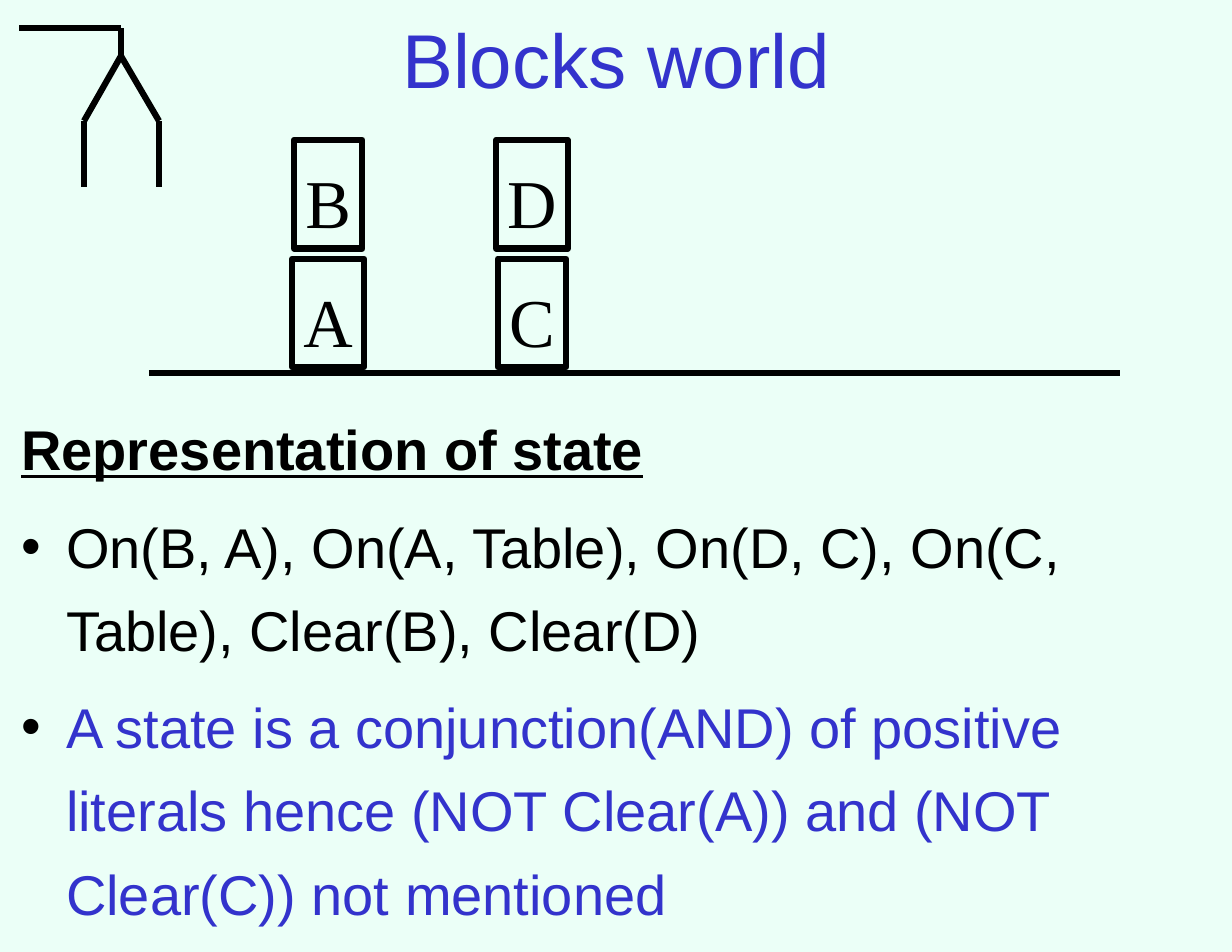
from lxml import etree
from pptx import Presentation
from pptx.dml.color import RGBColor
from pptx.enum.shapes import MSO_CONNECTOR, MSO_SHAPE
from pptx.enum.text import MSO_ANCHOR, MSO_AUTO_SIZE, PP_ALIGN
from pptx.oxml.ns import qn
from pptx.util import Inches, Pt

STRAIGHT = MSO_CONNECTOR.STRAIGHT
RECTANGLE = MSO_SHAPE.RECTANGLE
TOP, MIDDLE = MSO_ANCHOR.TOP, MSO_ANCHOR.MIDDLE
CENTER, LEFT = PP_ALIGN.CENTER, PP_ALIGN.LEFT
NO_AUTOFIT, GROW = MSO_AUTO_SIZE.NONE, MSO_AUTO_SIZE.SHAPE_TO_FIT_TEXT

BACKGROUND, BLACK, BLUE = "EBFFF7", "000000", "3333CC"
LINE_WIDTH = 4

TABLE_LINE = ((1.33, 3.33), (10, 3.33))
GRIPPER_LEFT, GRIPPER_RIGHT, GRIPPER_CENTER = 0.75, 1.42, 1.08
ARM_Y, JOINT_Y, ELBOW_Y, TIP_Y = 0.25, 0.5, 1.08, 1.67

BLOCK_HEIGHT = 0.97
UPPER_ROW, LOWER_ROW = 1.25, 2.31
BLOCKS = [  # label, stack centre, top, width
    ("A", 2.93, LOWER_ROW, 0.64),
    ("B", 2.93, UPPER_ROW, 0.61),
    ("C", 4.75, LOWER_ROW, 0.61),
    ("D", 4.75, UPPER_ROW, 0.64),
]

HEADING = "Representation of state"
BULLETS = [
    ("On(B, A), On(A, Table), On(D, C), On(C, Table), Clear(B), Clear(D)", BLACK),
    ("A state is a conjunction(AND) of positive literals hence "
     "(NOT Clear(A)) and (NOT Clear(C)) not mentioned", BLUE),
]


def color(hex_string):
    return RGBColor.from_string(hex_string)


def format_frame(text_frame, anchor, auto_size, wrap, side, end):
    text_frame.vertical_anchor = anchor
    text_frame.auto_size = auto_size
    text_frame.word_wrap = wrap
    text_frame.margin_left = text_frame.margin_right = Inches(side)
    text_frame.margin_top = text_frame.margin_bottom = Inches(end)


def write(paragraph, text, font_name, size, text_color, spacing, alignment=LEFT):
    paragraph.text = text
    paragraph.alignment = alignment
    paragraph.line_spacing = spacing
    font = paragraph.runs[0].font
    font.name = font_name
    font.size = Pt(size)
    font.color.rgb = color(text_color)
    return font


def add_bullet(paragraph, indent):
    properties = paragraph._p.get_or_add_pPr()
    properties.set("marL", str(Inches(indent)))
    properties.set("indent", str(-Inches(indent)))
    bullet_color = etree.SubElement(properties, qn("a:buClr"))
    etree.SubElement(bullet_color, qn("a:srgbClr"), val=BLACK)
    etree.SubElement(properties, qn("a:buFont"), typeface="Arial")
    etree.SubElement(properties, qn("a:buChar"), char="•")


def format_line(line):
    line.color.rgb = color(BLACK)
    line.width = Pt(LINE_WIDTH)


def add_line(slide, start, end):
    connector = slide.shapes.add_connector(
        STRAIGHT, *(Inches(value) for value in (*start, *end)))
    format_line(connector.line)
    etree.SubElement(connector._element.spPr, qn("a:effectLst"))


def add_block(slide, label, center, top, width):
    block = slide.shapes.add_shape(
        RECTANGLE, Inches(center - width / 2), Inches(top),
        Inches(width), Inches(BLOCK_HEIGHT))
    block.shadow.inherit = False
    block.fill.background()
    format_line(block.line)
    format_frame(block.text_frame, TOP, GROW, False, 0.1, 0.05)
    write(block.text_frame.paragraphs[0], label, "Times New Roman", 44,
          BLACK, 1.18, CENTER)


def add_gripper(slide):
    joint = (GRIPPER_CENTER, JOINT_Y)
    shoulder = (GRIPPER_CENTER, ARM_Y)
    for x in (GRIPPER_LEFT, GRIPPER_RIGHT):
        add_line(slide, (x, ELBOW_Y), (x, TIP_Y))
        add_line(slide, joint, (x, ELBOW_Y))
    add_line(slide, joint, shoulder)
    add_line(slide, (0.17, ARM_Y), shoulder)


def set_title(slide, text):
    title = slide.shapes.title
    title.left, title.top = Inches(0), Inches(-0.08)
    title.width, title.height = Inches(11), Inches(1)
    format_frame(title.text_frame, MIDDLE, NO_AUTOFIT, True, 0.11, 0.06)
    write(title.text_frame.paragraphs[0], text, "Arial", 49, BLUE, 1.24, CENTER)


def add_body(slide):
    body = slide.shapes.add_textbox(
        Inches(0.08), Inches(3.5), Inches(10.92), Inches(5))
    text_frame = body.text_frame
    format_frame(text_frame, TOP, NO_AUTOFIT, True, 0.11, 0.06)
    heading_font = write(text_frame.paragraphs[0], HEADING, "Arial", 36, BLACK, 1.24)
    heading_font.bold = heading_font.underline = True
    for text, text_color in BULLETS:
        paragraph = text_frame.add_paragraph()
        add_bullet(paragraph, 0.4)
        write(paragraph, text, "Arial", 36, text_color, 1.24)
        paragraph.space_before = Pt(9)


def main():
    presentation = Presentation()
    presentation.slide_width = Inches(11)
    presentation.slide_height = Inches(8.5)
    slide = presentation.slides.add_slide(presentation.slide_layouts[5])
    slide.background.fill.solid()
    slide.background.fill.fore_color.rgb = color(BACKGROUND)

    set_title(slide, "Blocks world")
    add_body(slide)
    add_line(slide, *TABLE_LINE)
    for block in BLOCKS:
        add_block(slide, *block)
    add_gripper(slide)
    presentation.save("out.pptx")


if __name__ == "__main__":
    main()
